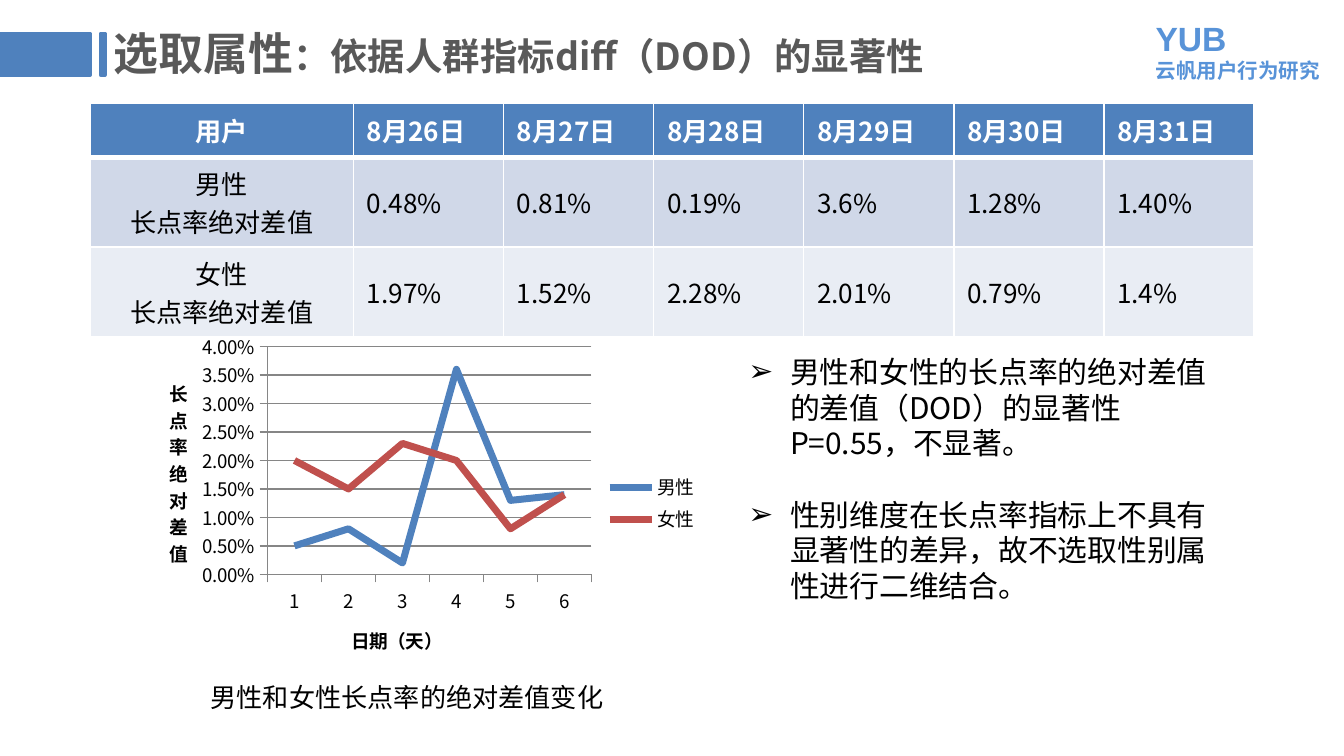
from dataclasses import dataclass

from lxml import etree
from pptx import Presentation
from pptx import util as u
from pptx.chart import data as chart_data
from pptx.dml.color import RGBColor
from pptx.enum import chart as chart_enum
from pptx.enum import shapes, text
from pptx.oxml import ns

SANS = "Noto Sans CJK SC"
BLUE, RED, GREY = "4F81BD", "C0504D", "868686"
BLACK, WHITE, TITLE_GREY, BRAND_BLUE = "000000", "FFFFFF", "595959", "5893D8"
DAYS = range(26, 32)


@dataclass
class Group:
    name: str
    values: list[str]
    fill: str
    line: str


@dataclass
class Box:
    left: float
    top: float
    width: float
    height: float

    def lengths(self) -> list[u.Length]:
        return [u.Inches(n) for n in (self.left, self.top, self.width, self.height)]


GROUPS = [
    Group("男性", ["0.48%", "0.81%", "0.19%", "3.6%", "1.28%", "1.40%"], "D0D8E8", BLUE),
    Group("女性", ["1.97%", "1.52%", "2.28%", "2.01%", "0.79%", "1.4%"], "E9EDF4", RED),
]
CONCLUSIONS = [
    "男性和女性的长点率的绝对差值的差值（DOD）的显著性P=0.55，不显著。",
    "性别维度在长点率指标上不具有显著性的差异，故不选取性别属性进行二维结合。",
]
MEASURE = "长点率绝对差值"


def colour(hex_code: str) -> RGBColor:
    return RGBColor.from_string(hex_code)


def add_child(parent, tag: str, **attributes: str):
    child = etree.SubElement(parent, ns.qn(tag))
    for name, value in attributes.items():
        child.set(name, value)
    return child


def format_font(font, size: float, hex_code: str = BLACK, bold: bool = False, face: str = SANS) -> None:
    font.size, font.bold, font.name = u.Pt(size), bold, face
    font.color.rgb = colour(hex_code)


def write(paragraph, content: str, *, size: float = 14, hex_code: str = BLACK,
          bold: bool = False, face: str = SANS, align=None) -> None:
    """Append one formatted run, with the same face for East Asian letters."""
    run = paragraph.add_run()
    run.text = content
    format_font(run.font, size, hex_code, bold, face)
    add_child(run.font._element, "a:ea", typeface=face)
    if align is not None:
        paragraph.alignment = align


def add_text_box(slide, box: Box, anchor=text.MSO_ANCHOR.TOP):
    frame = slide.shapes.add_textbox(*box.lengths()).text_frame
    frame.word_wrap = True
    frame.vertical_anchor = anchor
    return frame


def add_bar(slide, box: Box) -> None:
    bar = slide.shapes.add_shape(shapes.MSO_SHAPE.RECTANGLE, *box.lengths())
    bar.shadow.inherit = False
    bar.fill.solid()
    bar.fill.fore_color.rgb = bar.line.color.rgb = colour(BLUE)
    bar.line.width = u.Pt(2)


def format_cell(cell, fill: str, bottom_width: float = 1) -> None:
    cell.vertical_anchor = text.MSO_ANCHOR.MIDDLE
    properties = cell._tc.get_or_add_tcPr()
    for side in "LRTB":
        width = bottom_width if side == "B" else 1
        line = add_child(properties, f"a:ln{side}", w=str(u.Pt(width)))
        add_child(add_child(line, "a:solidFill"), "a:srgbClr", val=WHITE)
    cell.fill.solid()
    cell.fill.fore_color.rgb = colour(fill)


def add_difference_table(slide) -> None:
    box = Box(0.67, 0.77, 8.66, 1.74)
    heading_width = 1.96
    day_width = (box.width - heading_width) / len(DAYS)
    table = slide.shapes.add_table(len(GROUPS) + 1, len(DAYS) + 1, *box.lengths()).table
    for index, column in enumerate(table.columns):
        column.width = u.Inches(day_width if index else heading_width)
    for index, row in enumerate(table.rows):
        row.height = u.Inches(0.67 if index else 0.4)

    centre = text.PP_ALIGN.CENTER
    for index, label in enumerate(["用户"] + [f"8月{day}日" for day in DAYS]):
        cell = table.cell(0, index)
        format_cell(cell, BLUE, bottom_width=3)
        write(cell.text_frame.paragraphs[0], label, hex_code=WHITE, bold=True,
              align=None if index else centre)
    for row, group in enumerate(GROUPS, 1):
        heading = table.cell(row, 0)
        format_cell(heading, group.fill)
        write(heading.text_frame.paragraphs[0], group.name, align=centre)
        write(heading.text_frame.add_paragraph(), MEASURE, align=centre)
        for column, value in enumerate(group.values, 1):
            cell = table.cell(row, column)
            format_cell(cell, group.fill)
            write(cell.text_frame.paragraphs[0], value)


def set_plot_area(chart, left: float, top: float, width: float, height: float) -> None:
    """Place the inner plot area, in fractions of the chart."""
    area = chart._chartSpace.chart.plotArea
    for old in area.findall(ns.qn("c:layout")):
        area.remove(old)
    layout = etree.Element(ns.qn("c:layout"))
    area.insert(0, layout)
    manual = add_child(layout, "c:manualLayout")
    add_child(manual, "c:layoutTarget", val="inner")
    for name in ("xMode", "yMode"):
        add_child(manual, f"c:{name}", val="edge")
    for name, value in zip("xywh", (left, top, width, height)):
        add_child(manual, f"c:{name}", val=str(value))


def add_difference_chart(slide) -> None:
    data = chart_data.CategoryChartData(number_format="0.00%")
    data.categories = [str(number) for number in range(1, len(DAYS) + 1)]
    for group in GROUPS:
        data.add_series(group.name, [round(float(v.rstrip("%")) / 100, 3) for v in group.values])
    box = Box(1.06, 2.42, 4.23, 2.65)
    chart = slide.shapes.add_chart(chart_enum.XL_CHART_TYPE.LINE, *box.lengths(), data).chart
    format_font(chart.font, 10)
    add_child(chart.font._element, "a:ea", typeface=SANS)
    chart.has_title = False
    chart.has_legend = True
    chart.legend.position = chart_enum.XL_LEGEND_POSITION.RIGHT
    chart.legend.include_in_layout = False
    chart.plots[0].vary_by_categories = False
    for series, group in zip(chart.plots[0].series, GROUPS):
        series.smooth = False
        series.marker.style = chart_enum.XL_MARKER_STYLE.NONE
        series.format.line.color.rgb = colour(group.line)
        series.format.line.width = u.Pt(3.75)

    for axis, title in ((chart.category_axis, "日期（天）"), (chart.value_axis, MEASURE)):
        axis.major_tick_mark = chart_enum.XL_TICK_MARK.OUTSIDE
        axis.format.line.color.rgb = colour(GREY)
        write(axis.axis_title.text_frame.paragraphs[0], title, size=10, bold=True)
    values = chart.value_axis
    values.minimum_scale, values.maximum_scale, values.major_unit = 0, 0.04, 0.005
    values.major_gridlines.format.line.color.rgb = colour(GREY)
    values.tick_labels.number_format = "0.00%"
    values.tick_labels.number_format_is_linked = False
    body = values.axis_title.text_frame._txBody.bodyPr
    body.set("rot", "0")
    body.set("vert", "wordArtVert")
    set_plot_area(chart, 0.22, 0.06, 0.57, 0.64)


def add_conclusions(slide) -> None:
    frame = add_text_box(slide, Box(5.47, 2.58, 3.78, 1.99))
    for index, conclusion in enumerate(CONCLUSIONS):
        paragraph = frame.add_paragraph() if index else frame.paragraphs[0]
        paragraph.space_before = u.Pt(19 if index else 0)
        properties = paragraph._p.get_or_add_pPr()
        properties.set("marL", str(u.Inches(0.31)))
        properties.set("indent", str(u.Inches(-0.31)))
        add_child(properties, "a:buFont", typeface="Arial")
        add_child(properties, "a:buChar", char="➢")
        write(paragraph, conclusion, size=16)


def main() -> None:
    presentation = Presentation()
    presentation.slide_width = u.Inches(10)
    presentation.slide_height = presentation.slide_width * 9 // 16
    slide = presentation.slides.add_slide(presentation.slide_layouts[6])

    team = add_text_box(slide, Box(8.5, -0.02, 1.97, 0.79), text.MSO_ANCHOR.MIDDLE)
    write(team.paragraphs[0], "YUB", size=18, hex_code=BRAND_BLUE, bold=True, face="Arial")
    write(team.add_paragraph(), "云帆用户行为研究", size=11, hex_code=BRAND_BLUE, bold=True)

    title = add_text_box(slide, Box(0.75, 0.14, 7.56, 0.55)).paragraphs[0]
    write(title, "选取属性", size=24, hex_code=TITLE_GREY, bold=True)
    write(title, "：依据人群指标diff（DOD）的显著性", size=20, hex_code=TITLE_GREY, bold=True)

    add_difference_table(slide)
    add_difference_chart(slide)
    add_conclusions(slide)
    for left, width in ((0, 0.67), (0.75, 0.03)):
        add_bar(slide, Box(left, 0.25, width, 0.31))
    caption = add_text_box(slide, Box(1.06, 5.02, 3.94, 0.34))
    write(caption.paragraphs[0], "男性和女性长点率的绝对差值变化", align=text.PP_ALIGN.CENTER)
    presentation.save("out.pptx")


if __name__ == "__main__":
    main()
